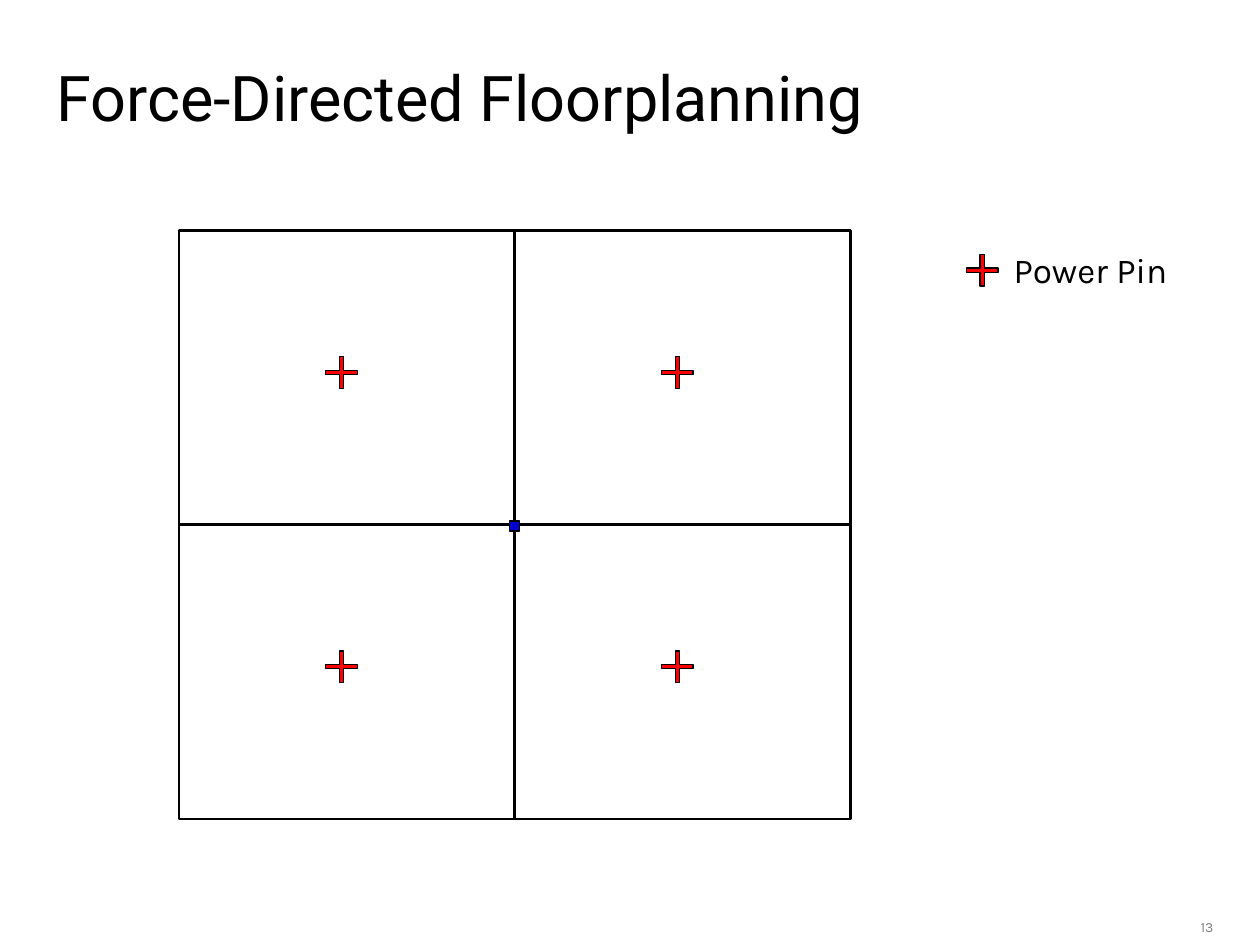
from dataclasses import dataclass
from itertools import product
from pptx import Presentation
from pptx.dml.color import RGBColor
from pptx.enum.shapes import MSO_SHAPE
from pptx.enum.text import MSO_ANCHOR, PP_ALIGN
from pptx.util import Inches, Pt


@dataclass(frozen=True)
class Theme:
    ink: str = "000000"
    pin: str = "FF0000"
    hub: str = "0000CC"
    mute: str = "808080"
    head: str = "Roboto"
    body: str = "Karla"
    big: int = 36
    mid: int = 20
    tiny: int = 8
    thick: float = 1.5
    thin: float = 0.75


THEME = Theme()
PIN = 0.25
HUB = 0.08


def draw(shapes, kind, box, fill=None, width=THEME.thin):
    """Add an outlined preset shape, hollow unless a fill is given."""
    shape = shapes.add_shape(kind, *map(Inches, box))
    shape.shadow.inherit = False
    if fill:
        shape.fill.solid()
        shape.fill.fore_color.rgb = RGBColor.from_string(fill)
    else:
        shape.fill.background()
    shape.line.color.rgb = RGBColor.from_string(THEME.ink)
    shape.line.width = Pt(width)
    return shape


def write(slide, box, text, font, align=PP_ALIGN.LEFT, color=THEME.ink, **form):
    """Add a one-line text box; form holds text frame settings."""
    frame = slide.shapes.add_textbox(*map(Inches, box)).text_frame
    for key, value in ({"word_wrap": True} | form).items():
        setattr(frame, key, value)
    para = frame.paragraphs[0]
    para.alignment = align
    run = para.add_run()
    run.text = text
    name, size = font
    for key, value in {"name": name, "size": Pt(size)}.items():
        setattr(run.font, key, value)
    run.font.color.rgb = RGBColor.from_string(color)


def pin(shapes, left, top):
    """Add a power pin with thin arms."""
    mark = draw(shapes, MSO_SHAPE.CROSS, (left, top, PIN, PIN), THEME.pin)
    mark.adjustments[0] = 0.433


def block(slide, box):
    """Group a floorplan block with its pin."""
    left, top, wide, high = box
    parts = slide.shapes.add_group_shape().shapes
    draw(parts, MSO_SHAPE.RECTANGLE, box, width=THEME.thick)
    # The pin sits slightly left of and above the centre
    pin(parts, left + wide * 0.4375, top + high * 0.4286)


def plan(slide, box, cols=2, rows=2):
    """Divide the box into equal blocks."""
    left, top, wide, high = box
    w, h = wide / cols, high / rows
    for col, row in product(range(cols), range(rows)):
        block(slide, (left + col * w, top + row * h, w, h))


def legend(slide, box):
    """Place the sample pin, then its label."""
    left, top, wide, high = box
    pin(slide.shapes, left, top + 0.1)
    write(slide, (left + 0.23, top, wide - 0.23, high), "Power Pin",
          (THEME.body, THEME.mid), PP_ALIGN.CENTER, word_wrap=False)


def hub(slide, box):
    """Mark the centre of the plan."""
    left, top, wide, high = box
    spot = (left + (wide - HUB) / 2, top + (high - HUB) / 2 + 0.01, HUB, HUB)
    draw(slide.shapes, MSO_SHAPE.RECTANGLE, spot, THEME.hub)


def main():
    deck = Presentation()
    deck.slide_width, deck.slide_height = Inches(10), Inches(7.5)
    slide = deck.slides.add_slide(deck.slide_layouts[6])
    area = (1.42, 1.83, 5.33, 4.67)

    # Title
    write(slide, (0.35, 0.35, 9, 0.83), "Force-Directed Floorplanning",
          (THEME.head, THEME.big), vertical_anchor=MSO_ANCHOR.MIDDLE)
    # Floorplan and legend
    plan(slide, area)
    legend(slide, (7.67, 1.92, 1.74, 0.44))
    hub(slide, area)
    # Page number
    write(slide, (9.07, 7.24, 0.66, 0.17), "13", (THEME.body, THEME.tiny),
          PP_ALIGN.RIGHT, THEME.mute)
    deck.save("out.pptx")


if __name__ == "__main__":
    main()
